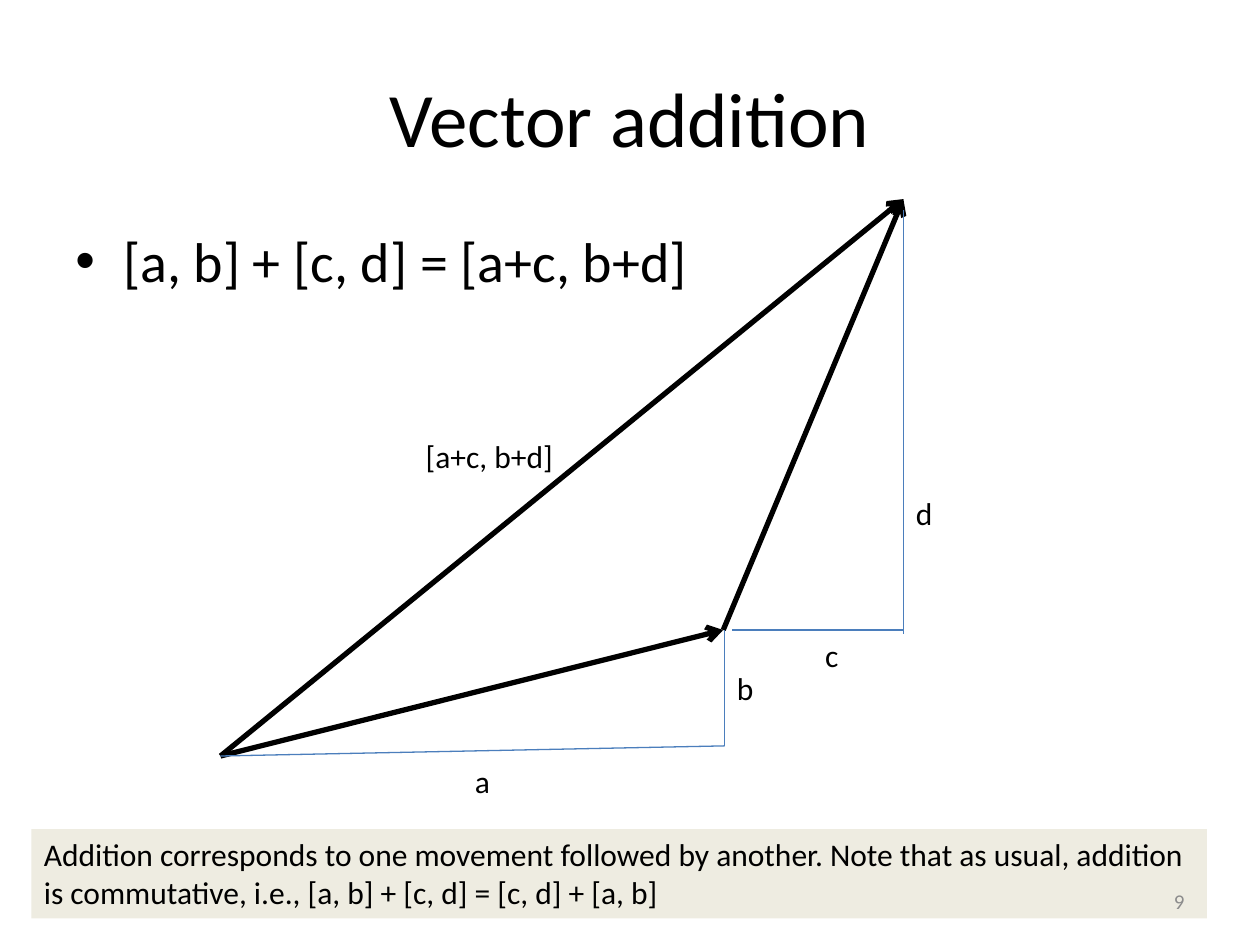
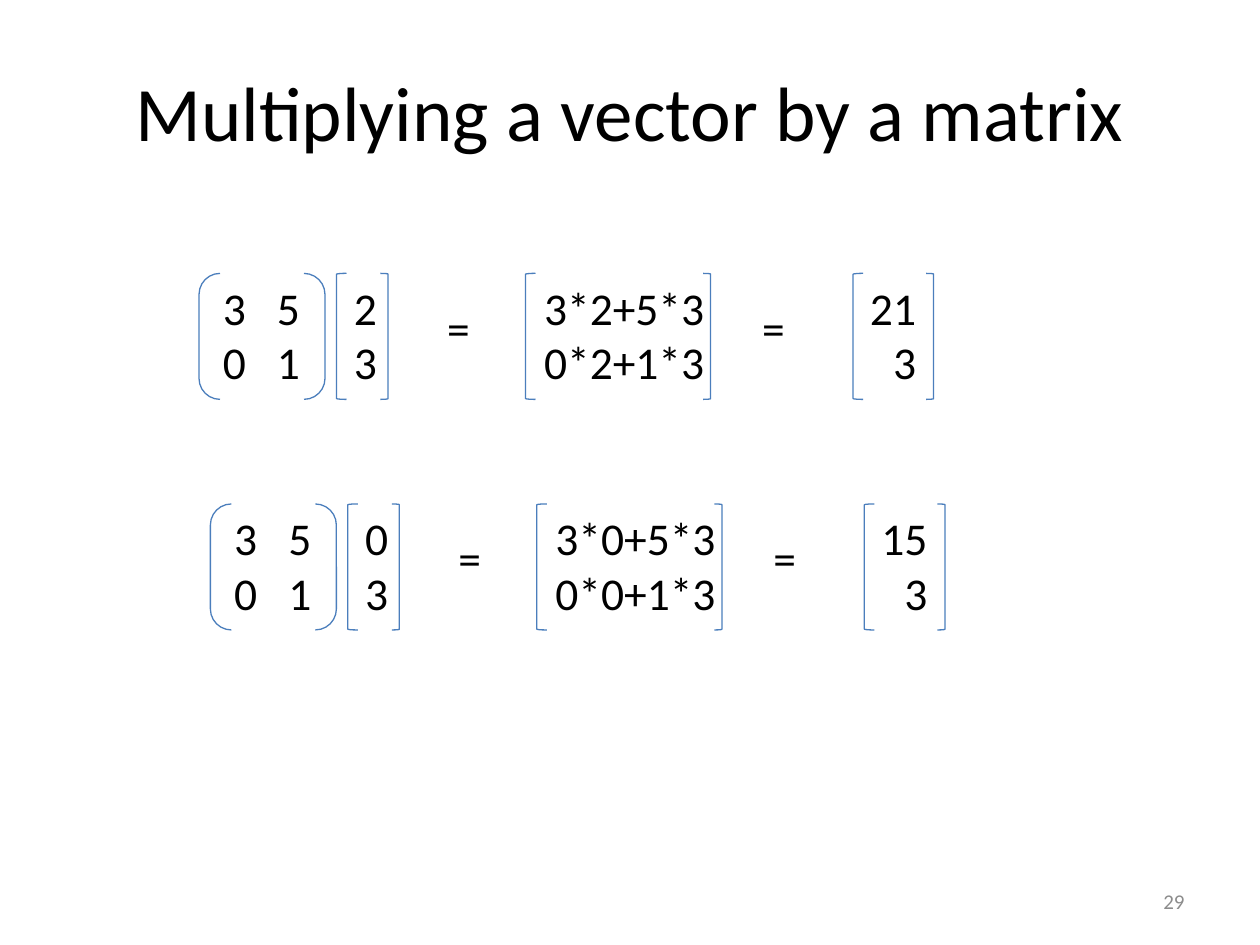
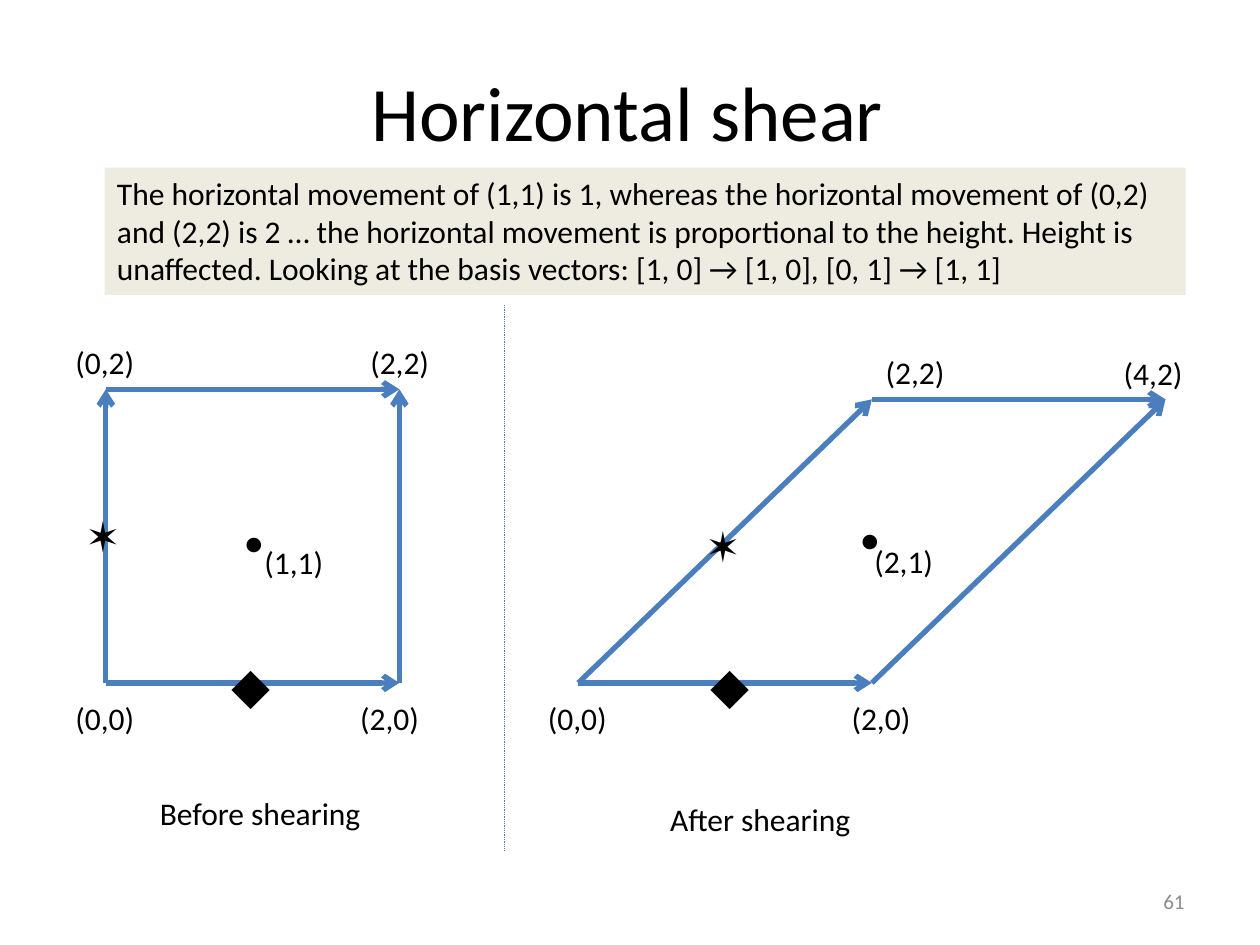
from lxml import etree
from pptx import Presentation
from pptx.dml.color import RGBColor
from pptx.enum.dml import MSO_LINE
from pptx.enum.shapes import MSO_CONNECTOR, MSO_SHAPE
from pptx.enum.text import MSO_ANCHOR, MSO_AUTO_SIZE, PP_ALIGN
from pptx.oxml.ns import qn
from pptx.util import Inches, Pt

COLOURS = {"ink": "000000", "blue": "4B7EBC", "beige": "EEECE1", "grey": "8C8C8C"}
FONT = "Calibri"
LEFT, CENTER, RIGHT = PP_ALIGN.LEFT, PP_ALIGN.CENTER, PP_ALIGN.RIGHT
TOP, MIDDLE = MSO_ANCHOR.TOP, MSO_ANCHOR.MIDDLE
FIT_SHAPE, NO_FIT = MSO_AUTO_SIZE.SHAPE_TO_FIT_TEXT, MSO_AUTO_SIZE.NONE
STRAIGHT = MSO_CONNECTOR.STRAIGHT
RECTANGLE = MSO_SHAPE.RECTANGLE
BRACKET_PAIR = MSO_SHAPE.DOUBLE_BRACKET
LEFT_BRACKET, RIGHT_BRACKET = MSO_SHAPE.LEFT_BRACKET, MSO_SHAPE.RIGHT_BRACKET
DOTTED = MSO_LINE.ROUND_DOT
LABEL_HEIGHT = 0.4
MATRIX_SIZE = 26
ROW_HEIGHT = 1


def colour(name):
    """Return a named colour."""
    return RGBColor.from_string(COLOURS[name])


def fill_text(box, text, size, ink="ink", align=LEFT, anchor=TOP, wrap=True, fit=NO_FIT):
    """Put formatted text into a box."""
    frame = box.text_frame
    frame.text = text
    frame.word_wrap = wrap
    frame.auto_size = fit
    frame.vertical_anchor = anchor
    for para in frame.paragraphs:
        para.alignment = align
        for span in para.runs:
            span.font.name = FONT
            span.font.size = Pt(size)
            span.font.color.rgb = colour(ink)


def add_text(page, text, left, top, width, height, size, **style):
    """Add a text box."""
    box = page.shapes.add_textbox(*map(Inches, (left, top, width, height)))
    fill_text(box, text, size, **style)
    return box


def add_label(page, text, left, top, width, height=LABEL_HEIGHT, size=18, align=LEFT):
    """Add a text that stays on its own lines."""
    return add_text(page, text, left, top, width, height, size,
                    align=align, wrap=False, fit=FIT_SHAPE)


def add_page(deck, title, number, left=0.5, top=0.25):
    """Add a slide with its title and page number."""
    page = deck.slides.add_slide(deck.slide_layouts[6])
    add_text(page, title, left, top, 9, 1.25, 44, align=CENTER, anchor=MIDDLE)
    add_text(page, str(number), 7.17, 6.95, 2.33, 0.4, 12,
             ink="grey", align=RIGHT, anchor=MIDDLE)
    return page


def add_bullet(page, text, left, top, width, height):
    """Add a bulleted line."""
    box = add_text(page, text, left, top, width, height, 32)
    properties = box.text_frame.paragraphs[0]._p.get_or_add_pPr()
    properties.set("marL", str(Inches(0.38)))
    properties.set("indent", str(-Inches(0.38)))
    etree.SubElement(properties, qn("a:buFont")).set("typeface", "Arial")
    etree.SubElement(properties, qn("a:buChar")).set("char", "•")


def add_callout(page, text, left, top, width, height):
    """Add a beige note behind the page number."""
    box = page.shapes.add_shape(RECTANGLE, *map(Inches, (left, top, width, height)))
    box.shadow.inherit = False
    box.fill.solid()
    box.fill.fore_color.rgb = colour("beige")
    box.line.fill.background()
    fill_text(box, text, 18, fit=FIT_SHAPE)
    page.shapes._spTree.insert(2, box._element)


def add_line(page, start, end, ink="blue", weight=0.75, arrow=False, dash=None):
    """Draw a straight line, with an arrowhead if asked."""
    line = page.shapes.add_connector(STRAIGHT, *map(Inches, (*start, *end)))
    line.line.color.rgb = colour(ink)
    line.line.width = Pt(weight)
    if dash:
        line.line.dash_style = dash
    if arrow:
        outline = line.line._get_or_add_ln()
        etree.SubElement(outline, qn("a:tailEnd")).set("type", "arrow")
    etree.SubElement(line._element.spPr, qn("a:effectLst"))


def add_bracket(page, kind, left, top, width):
    """Draw a bracket of one matrix row's height."""
    bracket = page.shapes.add_shape(kind, *map(Inches, (left, top, width, ROW_HEIGHT)))
    bracket.shadow.inherit = False
    bracket.fill.background()
    bracket.line.color.rgb = colour("blue")
    bracket.line.width = Pt(0.75)


def add_matrix(page, text, left, top):
    """Draw a two-column matrix in rounded brackets."""
    add_bracket(page, BRACKET_PAIR, left, top, 1)
    box = add_text(page, text, left + 0.09, top, 1.67, 0.98, MATRIX_SIZE, fit=FIT_SHAPE)
    for para in box.text_frame.paragraphs:
        stops = etree.SubElement(para._p.get_or_add_pPr(), qn("a:tabLst"))
        stop = etree.SubElement(stops, qn("a:tab"))
        stop.set("pos", str(Inches(0.43)))
        stop.set("algn", "l")


def add_vector(page, text, left, top, width, text_width):
    """Draw a column vector in square brackets."""
    add_bracket(page, LEFT_BRACKET, left, top, 0.08)
    add_bracket(page, RIGHT_BRACKET, left + width - 0.06, top, 0.06)
    add_label(page, text, left + 0.03, top, text_width, 0.98, MATRIX_SIZE, RIGHT)


def add_product(page, left, top, factor, terms, result):
    """Draw matrix times vector, the sums and the result in one row."""
    add_matrix(page, "3\t5\n0\t1", left, top)
    add_vector(page, factor, left + 1.09, top, 0.41, 0.39)
    add_vector(page, terms, left + 2.59, top, 1.47, 1.49)
    add_vector(page, result, left + 5.19, top, 0.64, 0.57)
    for offset in (1.87, 4.37):
        add_label(page, "=", left + offset, top + 0.16, 0.38, 0.54, MATRIX_SIZE)


def add_parallelogram(page, left, bottom, side, height, lean):
    """Draw four arrows around a square or its sheared form."""
    origin, base = (left, bottom), (left + side, bottom)
    upper = (left + lean, bottom - height)
    corner = (left + lean + side, bottom - height)
    for start, end in ((origin, base), (origin, upper), (base, corner), (upper, corner)):
        add_line(page, start, end, weight=3, arrow=True)


def build_addition(deck):
    """Build the slide on vector addition."""
    page = add_page(deck, "Vector addition", 9, top=0.3)
    add_bullet(page, "[a, b] + [c, d] = [a+c, b+d]", 0.5, 1.75, 9, 4.95)
    origin, middle, goal = (1.75, 6), (5.74, 5), (7.17, 1.58)
    for start, end in ((origin, middle), (middle, goal), (origin, goal)):
        add_line(page, start, end, ink="ink", weight=3, arrow=True)
    for start, end in (
        (origin, (5.75, 5.92)),
        ((5.75, 5.92), (5.75, 5)),
        ((5.81, 5), (7.17, 5)),
        ((7.17, 1.67), (7.17, 5.03)),
    ):
        add_line(page, start, end)
    for text, left, top, width in (
        ("a", 3.67, 6, 0.32),
        ("b", 5.75, 5.26, 0.34),
        ("c", 6.45, 5, 0.31),
        ("d", 7.17, 3.87, 0.34),
        ("[a+c, b+d]", 3.28, 3.42, 1.22),
    ):
        add_label(page, text, left, top, width)
    add_callout(page, "Addition corresponds to one movement followed by another. "
                "Note that as usual, addition is commutative, i.e., "
                "[a, b] + [c, d] = [c, d] + [a, b]", 0.25, 6.58, 9.33, 0.71)


def build_product(deck):
    """Build the slide on matrix times vector."""
    page = add_page(deck, "Multiplying a vector by a matrix", 29)
    add_product(page, 1.58, 2.17, "2\n3", "3*2+5*3\n0*2+1*3", "21\n3")
    add_product(page, 1.67, 4, "0\n3", "3*0+5*3\n0*0+1*3", "15\n3")


def build_shear(deck):
    """Build the slide on horizontal shear."""
    page = add_page(deck, "Horizontal shear", 61, left=0.48)
    add_callout(page, "The horizontal movement of (1,1) is 1, whereas the horizontal "
                "movement of (0,2) and (2,2) is 2 … the horizontal movement is "
                "proportional to the height. Height is unaffected. Looking at the "
                "basis vectors: [1, 0] → [1, 0], [0, 1] → [1, 1]",
                0.83, 1.33, 8.58, 1.01)
    add_parallelogram(page, 0.84, 5.42, 2.33, 2.33, 0)
    add_parallelogram(page, 4.59, 5.42, 2.33, 2.25, 2.33)
    add_line(page, (4, 6.75), (4, 2.42), weight=0.5, dash=DOTTED)
    for text, left, top in (
        ("(0,0)", 0.5, 5.5),
        ("(2,0)", 2.76, 5.5),
        ("(1,1)", 2, 4.26),
        ("(0,2)", 0.5, 2.67),
        ("(2,2)", 2.84, 2.67),
        ("(0,0)", 4.25, 5.5),
        ("(2,0)", 6.66, 5.5),
        ("(2,1)", 6.84, 4.25),
        ("(2,2)", 6.93, 2.75),
        ("(4,2)", 8.82, 2.76),
    ):
        add_label(page, text, left, top, 0.68)
    add_label(page, "Before shearing", 1.17, 6.25, 1.81)
    add_label(page, "After shearing", 5.22, 6.3, 1.65)
    for dot_left, dot_top, diamond_left, star_left, star_top in (
        (1.84, 4.1, 1.74, 0.58, 4),
        (6.73, 4.08, 5.54, 5.5, 4.08),
    ):
        add_label(page, "●", dot_left, dot_top, 0.35)
        add_label(page, "⬥", diamond_left, 5.11, 0.46, 0.64, 32)
        add_label(page, "✶", star_left, star_top, 0.5, 0.5, 24)


def main():
    """Build and save the deck."""
    deck = Presentation()
    deck.slide_width, deck.slide_height = Inches(10), Inches(7.5)
    build_addition(deck)
    build_product(deck)
    build_shear(deck)
    deck.save("out.pptx")


if __name__ == "__main__":
    main()
